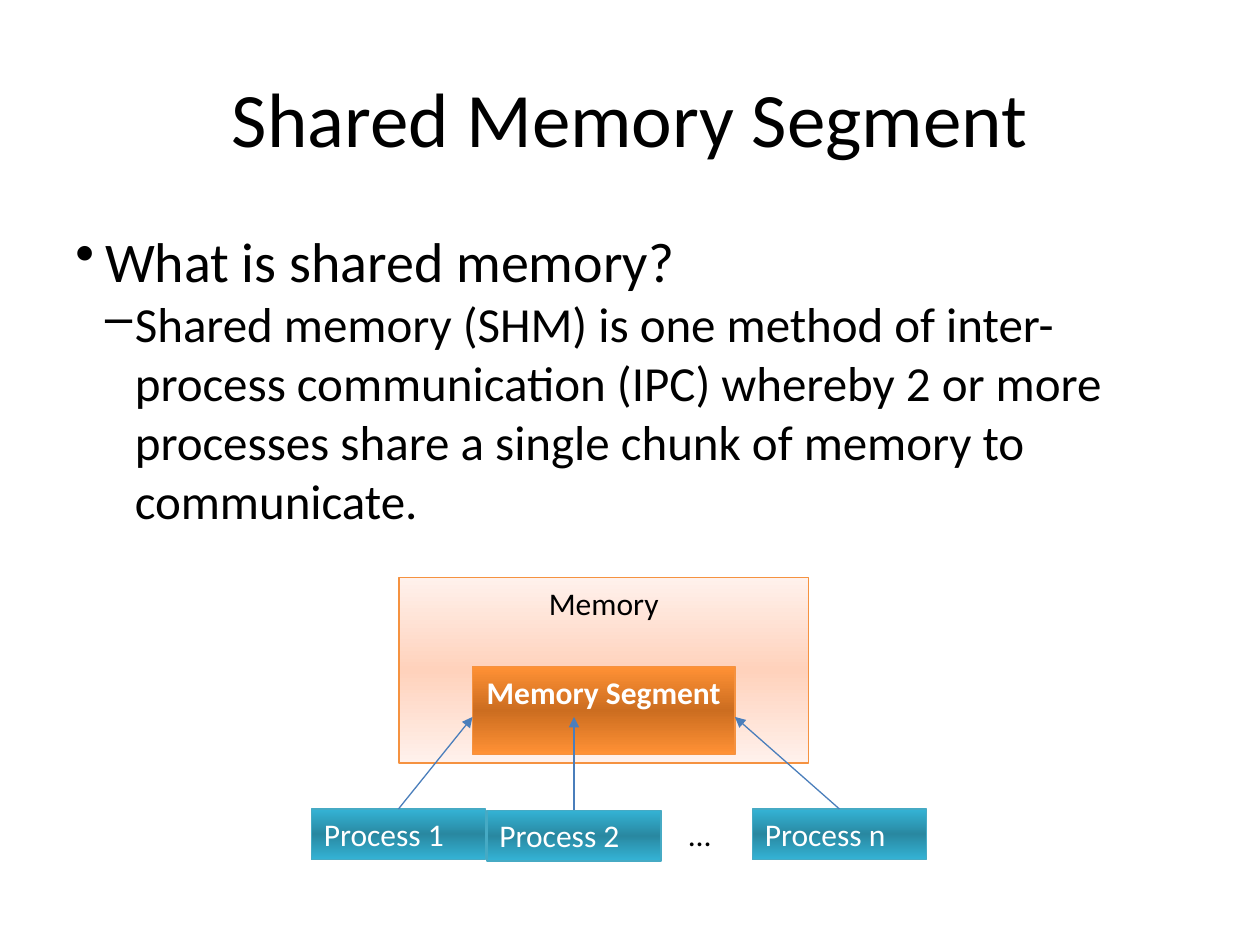
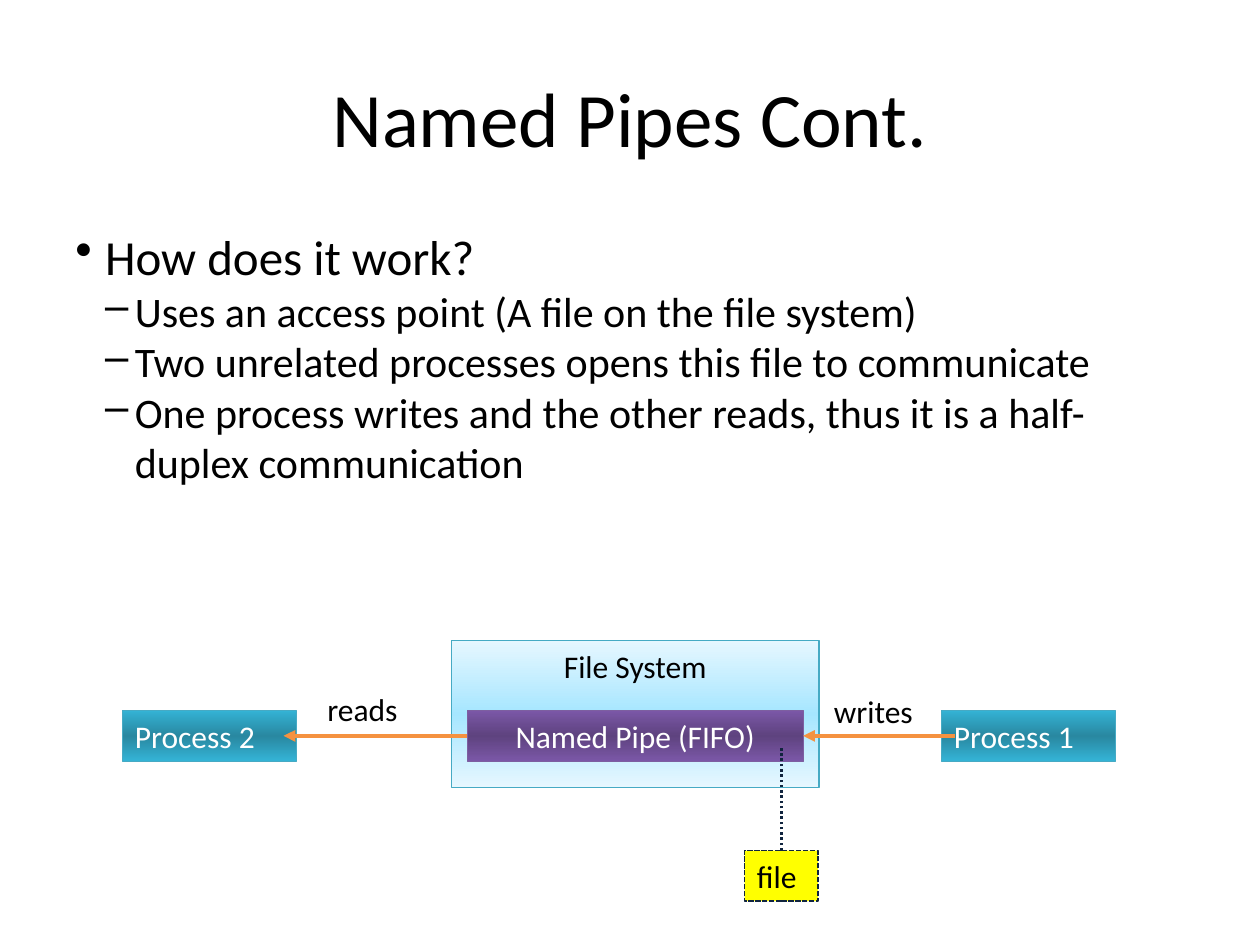
from copy import deepcopy

from pptx import Presentation
from pptx.dml.color import RGBColor
from pptx.enum import dml, shapes, text
from pptx.oxml import ns, xmlchemy
from pptx.util import Pt

FONT = "Calibri"
COLORS = {
    "black": "000000", "white": "FFFFFF", "navy": "10243E", "yellow": "FFFF00",
    "blue": "4A7EBB", "orange": "F59240", "teal": "46AAC4", "purple": "7D5FA0",
}
GRADIENTS = {
    "memory": ("FFF1EC", "FFD2BC"),
    "segment": ("FF9135", "CC6D20"),
    "process": ("34B3D5", "2988A1"),
    "files": ("E6F7FF", "A6E6FF"),
    "pipe": ("7B57A7", "5E437F"),
}
TITLE_BOX = (36, 21.6, 648, 90)
INDENT = 17
LABEL_HEIGHT = 29
PROCESS_WIDTH = 99.4


def rgb(name):
    return RGBColor.from_string(COLORS[name])


def write(para, words, size=18, color="black", bold=False, align=text.PP_ALIGN.LEFT):
    para.alignment = align
    span = para.add_run()
    span.text = words
    span.font.name = FONT
    span.font.size = Pt(size)
    span.font.bold = bold
    span.font.color.rgb = rgb(color)


def add_bullet(para, level, mark):
    para.level = level
    para.space_before = para.space_after = Pt(0)
    props = para._p.get_or_add_pPr()
    props.set("marL", str(Pt(INDENT * (level + 1))))
    props.set("indent", str(-Pt(INDENT)))
    bullet = xmlchemy.OxmlElement("a:buChar")
    bullet.set("char", mark)
    props.append(bullet)


def fill_gradient(shape, edge, middle):
    shape.fill.gradient()
    shape.fill.gradient_angle = 90
    stops = shape.fill.gradient_stops
    stop_list = shape._element.spPr.find(ns.qn("a:gradFill")).find(ns.qn("a:gsLst"))
    stop_list.insert(1, deepcopy(stop_list[0]))
    for stop, color, position in zip(shape.fill.gradient_stops, (edge, middle, edge), (0, 0.5, 1)):
        stop.color.rgb = RGBColor.from_string(color)
        stop.position = position


def add_panel(page, box, words, line, gradient=None, fill=None, width=0.75, **style):
    panel = page.shapes.add_shape(shapes.MSO_SHAPE.RECTANGLE, *map(Pt, box))
    panel.shadow.inherit = False
    if gradient:
        fill_gradient(panel, *GRADIENTS[gradient])
    else:
        panel.fill.solid()
        panel.fill.fore_color.rgb = rgb(fill)
    panel.line.color.rgb = rgb(line)
    panel.line.width = Pt(width)
    panel.text_frame.word_wrap = True
    panel.text_frame.vertical_anchor = text.MSO_ANCHOR.TOP
    write(panel.text_frame.paragraphs[0], words, **style)
    return panel


def add_process(page, left, top, words):
    return add_panel(page, (left, top, PROCESS_WIDTH, LABEL_HEIGHT), words,
                     "teal", "process", color="white")


def add_label(page, left, top, width, words):
    label = page.shapes.add_textbox(*map(Pt, (left, top, width, LABEL_HEIGHT)))
    label.text_frame.word_wrap = True
    write(label.text_frame.paragraphs[0], words)


def add_line(page, start, end, color, width, arrow=True):
    line = page.shapes.add_connector(shapes.MSO_CONNECTOR.STRAIGHT, *map(Pt, start + end))
    line.line.color.rgb = rgb(color)
    line.line.width = Pt(width)
    if arrow:
        head = xmlchemy.OxmlElement("a:tailEnd")
        head.set("type", "triangle")
        line.line._get_or_add_ln().append(head)
    line._element.spPr.append(xmlchemy.OxmlElement("a:effectLst"))
    return line


def add_text_page(deck, title, points, height, size):
    page = deck.slides.add_slide(deck.slide_layouts[5])
    heading = page.shapes.title
    heading.left, heading.top, heading.width, heading.height = map(Pt, TITLE_BOX)
    heading.text_frame.vertical_anchor = text.MSO_ANCHOR.MIDDLE
    write(heading.text_frame.paragraphs[0], title, size=44, align=text.PP_ALIGN.CENTER)
    body = page.shapes.add_textbox(*map(Pt, (36, 126, 648, height)))
    frame = body.text_frame
    frame.word_wrap = True
    for index, words in enumerate(points):
        para = frame.add_paragraph() if index else frame.paragraphs[0]
        level = min(index, 1)
        add_bullet(para, level, "•–"[level])
        write(para, words, size=size - 4 * level)
    return page


def draw_shared_memory(page, left, top):
    center = text.PP_ALIGN.CENTER
    add_panel(page, (left + 50, top, 234, 106), "Memory", "orange", "memory", align=center)
    add_panel(page, (left + 92, top + 51, 150, 50), "Memory Segment", "orange", "segment",
              color="white", bold=True, align=center)
    processes = (
        ("Process 1", 0, 132.3, 92),
        ("Process 2", 100.3, 133, 150),
        ("Process n", 252, 132.3, 242),
    )
    for words, offset, drop, target in processes:
        process = add_process(page, left + offset, top + drop, words)
        start = (left + offset + PROCESS_WIDTH / 2, top + drop)
        arrow = add_line(page, start, (left + target, top + 79.7), "blue", 0.75)
        arrow.begin_connect(process, 0)
    add_label(page, left + 208.6, top + 132.3, 32.4, "…")


def draw_named_pipe(page, left, top):
    center = text.PP_ALIGN.CENTER
    row = top + 40
    middle = row + LABEL_HEIGHT / 2
    add_panel(page, (left + 188, top, 210, 84), "File System", "teal", "files", align=center)
    pipe = add_panel(page, (left + 197, row, 192, LABEL_HEIGHT), "Named Pipe (FIFO)",
                     "purple", "pipe", color="white", align=center)
    add_process(page, left + 468, row, "Process 1")
    add_process(page, left, row, "Process 2")
    writes = add_line(page, (left + 476, middle), (left + 389, middle), "orange", 2.25)
    writes.end_connect(pipe, 3)
    reads = add_line(page, (left + 197, middle), (left + 92, middle), "orange", 2.25)
    reads.begin_connect(pipe, 1)
    add_label(page, left + 399.5, top + 25.7, 69, "writes")
    add_label(page, left + 110, top + 25, 64, "reads")
    note = add_panel(page, (left + 355.5, top + 120, 42, LABEL_HEIGHT), "file", "navy",
                     fill="yellow", width=1)
    note.line.dash_style = dml.MSO_LINE.SQUARE_DOT
    link = add_line(page, (left + 376.5, top + 120), (left + 376.5, top + 60), "navy", 1.5,
                    arrow=False)
    link.begin_connect(note, 0)
    link.line.dash_style = dml.MSO_LINE.ROUND_DOT


def main():
    deck = Presentation()
    deck.slide_width, deck.slide_height = Pt(720), Pt(540)
    page = add_text_page(deck, "Shared Memory Segment", (
        "What is shared memory?",
        "Shared memory (SHM) is one method of inter-process communication (IPC) whereby "
        "2 or more processes share a single chunk of memory to communicate.",
    ), height=356.4, size=32)
    draw_shared_memory(page, 178, 330)
    page = add_text_page(deck, "Named Pipes Cont.", (
        "How does it work?",
        "Uses an access point (A file on the file system)",
        "Two unrelated processes opens this file to communicate",
        "One process writes and the other reads, thus it is a half-duplex communication",
    ), height=210.2, size=28)
    draw_named_pipe(page, 70, 366)
    deck.save("out.pptx")


if __name__ == "__main__":
    main()
